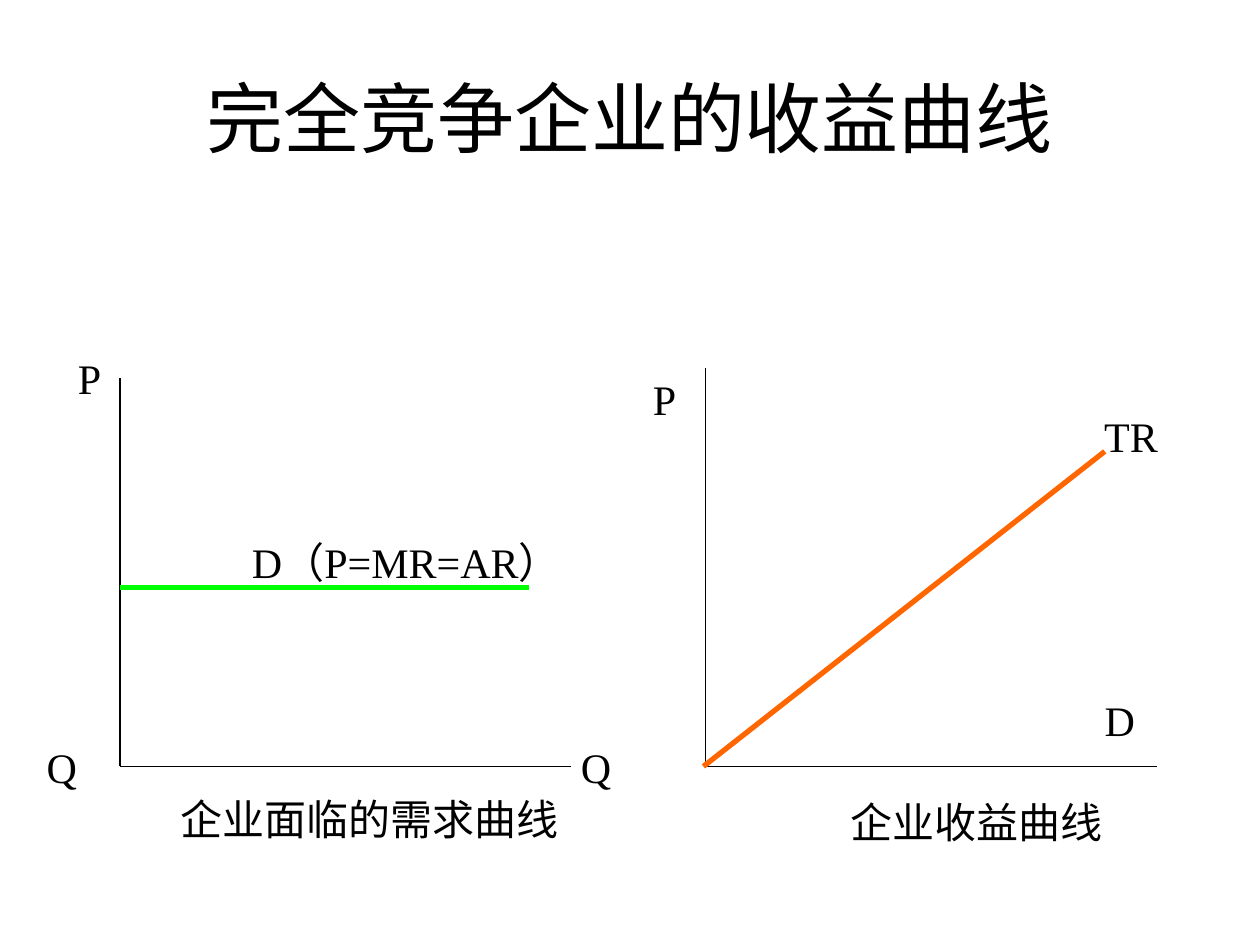
from pptx import Presentation, util as u
from pptx.dml.color import RGBColor
from pptx.enum import shapes, text
from pptx.oxml.ns import qn
from lxml import etree


def color(value):
    return RGBColor.from_string(value)


def add_text(content, left, top, width, height, size, font, **frame):
    """Add a one-paragraph text box; frame holds text frame attributes."""
    tf = s.shapes.add_textbox(*map(u.Cm, (left, top, width, height))).text_frame
    for name, value in frame.items():
        setattr(tf, name, value)
    p = tf.paragraphs[0]
    r = p.add_run()
    r.text = content
    for name, value in {"size": u.Pt(size), "name": font}.items():
        setattr(r.font, name, value)
    r.font.color.rgb = color("000000")
    return p


prs = Presentation()
prs.slide_width, prs.slide_height = u.Cm(25.4), u.Cm(19.05)
s = prs.slides.add_slide(prs.slide_layouts[6])

title = add_text("完全竞争企业的收益曲线", 1.27, 0.76, 22.86, 3.18, 44, "Arial",
                 word_wrap=True, vertical_anchor=text.MSO_ANCHOR.MIDDLE)
title.alignment = text.PP_ALIGN.CENTER

# Both charts share the base line and the length of the quantity axis
base, axis_length = 15.45, 9.1
demand_x, revenue_x = 2.42, 14.22
lines = []
for x, axis_top in ((demand_x, 7.62), (revenue_x, 7.41)):
    lines += [
        (x, base, x + axis_length, base, "000000", 0.75),
        (x, base, x, axis_top, "000000", 0.75),
    ]
lines += [
    (demand_x, 11.85, 10.67, 11.85, "00FF00", 3),
    (22.27, 9.1, 14.18, base, "FF6600", 3),
]
for *ends, line_color, width in lines:
    c = s.shapes.add_connector(shapes.MSO_CONNECTOR.STRAIGHT, *map(u.Cm, ends))
    c.line.color.rgb = color(line_color)
    c.line.width = u.Pt(width)
    etree.SubElement(c._element.spPr, qn("a:effectLst"))

# Each width leaves room for its label on a single line
labels = [
    ("Q", 0.69, 14.82, 1.14),
    ("Q", 11.46, 14.82, 1.14),
    ("D（P=MR=AR）", 4.83, 10.7, 7.36),
    ("P", 1.32, 6.99, 1),
    ("D", 22.02, 13.87, 1.14),
    ("TR", 22.01, 8.16, 1.64),
    ("P", 12.91, 7.41, 1),
    ("企业收益曲线", 16.89, 15.93, 5.6),
    ("企业面临的需求曲线", 3.39, 15.88, 8.14),
]
for content, left, top, width in labels:
    add_text(content, left, top, width, 1.27, 24, "Times New Roman",
             word_wrap=False, auto_size=text.MSO_AUTO_SIZE.SHAPE_TO_FIT_TEXT)

prs.save("out.pptx")
